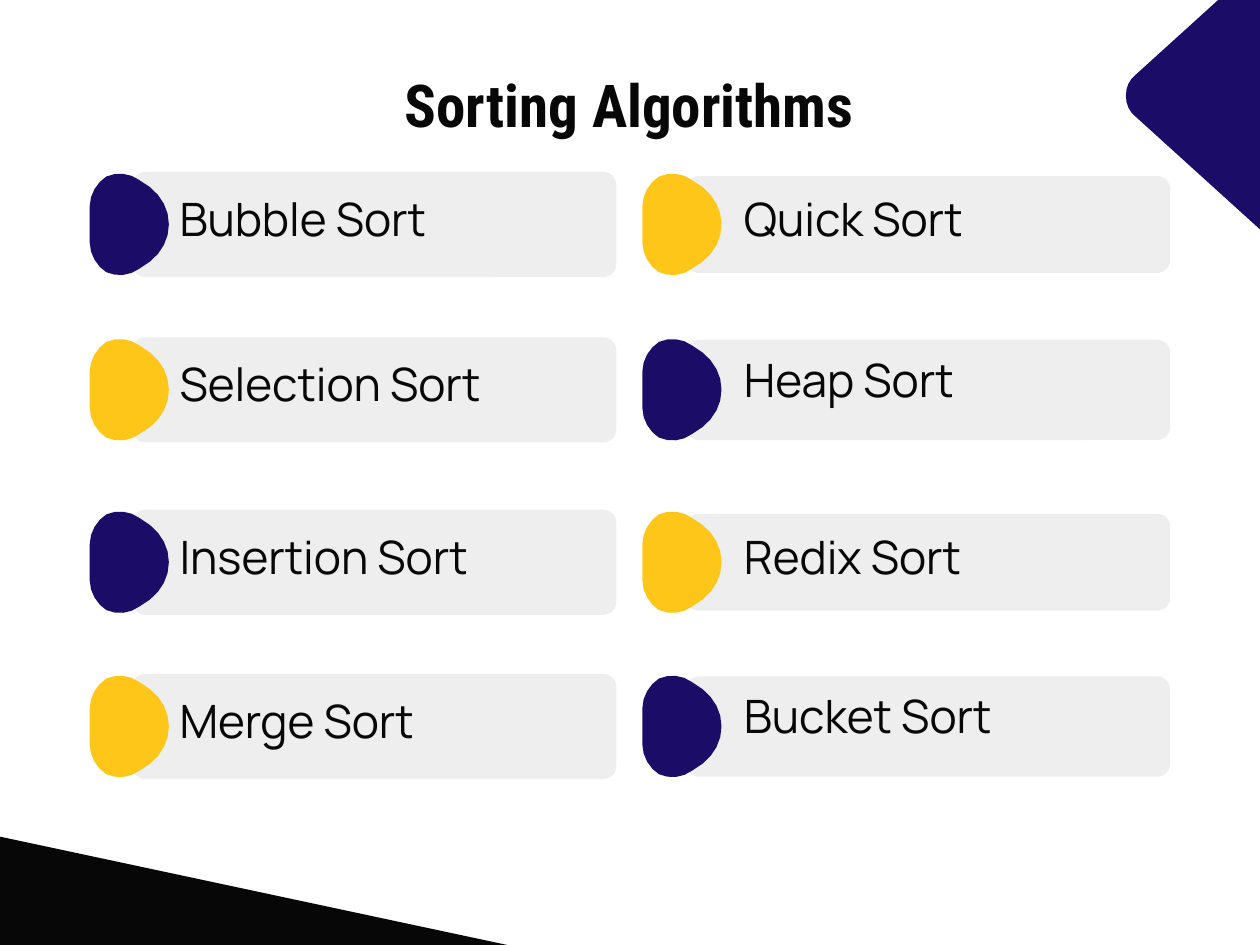
from dataclasses import dataclass

from pptx import Presentation
from pptx import util as u
from pptx.dml.color import RGBColor
from pptx.enum import shapes, text


@dataclass(frozen=True)
class Theme:
    navy: str = "1A0C67"
    yellow: str = "FFC61A"
    black: str = "070707"
    gray: str = "EEEEEE"
    title_font: str = "Roboto Condensed"
    body_font: str = "Manrope"
    title_size: int = 36
    title_spacing: float = 56
    body_size: int = 28
    body_spacing: float = 25.2


THEME = Theme()
CURVE_STEPS = 4
ROW_CENTERS = (1.9, 3.3, 4.76, 6.15)
BAR_WIDTH = 4.1
BAR_RADIUS = 0.11
MARKER_SIZE = (0.89, 0.67)

MARKER_HALF = (
    ((0.57, 0), (0.68, 0.06), (0.76, 0.16)),
    ((0.82, 0.25),),
    ((0.88, 0.33), (0.89, 0.44), (0.85, 0.53)),
    ((0.8, 0.61), (0.7, 0.67), (0.6, 0.67)),
)
DIAMOND_HALF = (
    ((1.25, 0), (1.31, 0.03), (1.35, 0.08)),
    ((2.32, 1.15),),
    ((2.35, 1.19), (2.36, 1.23), (2.34, 1.28)),
    ((2.32, 1.32), (2.28, 1.34), (2.23, 1.34)),
)
WEDGE_HALF = (
    ((1.75, 0), (1.77, 0.02), (1.77, 0.03)),
    ((3.45, 7.9),),
    ((3.46, 7.95), (3.45, 8), (3.42, 8.03)),
    ((3.39, 8.07), (3.35, 8.09), (3.3, 8.09)),
)


@dataclass(frozen=True)
class Column:
    bar_left: float
    text_left: float
    marker_left: float
    labels: tuple
    text_widths: tuple
    bar_heights: tuple
    text_rises: tuple
    colors: tuple


COLUMNS = (
    Column(1.12, 1.52, 0.65,
           ("Bubble Sort", "Selection Sort", "Insertion Sort", "Merge Sort"),
           (3.09, 3.12), (0.89, 0.89), (0.17, 0.17), (THEME.navy, THEME.yellow)),
    Column(5.81, 6.3, 5.33,
           ("Quick Sort", "Heap Sort", "Redix Sort", "Bucket Sort"),
           (2.84, 2.23), (0.82, 0.85), (0.17, 0.21), (THEME.yellow, THEME.navy)),
)


def curve_points(start, first, second, end):
    points = []
    for step in range(1, CURVE_STEPS + 1):
        t = step / CURVE_STEPS
        weights = ((1 - t) ** 3, 3 * t * (1 - t) ** 2, 3 * t * t * (1 - t), t ** 3)
        controls = (start, first, second, end)
        points.append(tuple(sum(weight * control[axis] for weight, control in zip(weights, controls))
                            for axis in (0, 1)))
    return points


def symmetric_outline(width, half):
    points = [(width / 2, 0)]
    for segment in half:
        points += curve_points(points[-1], *segment) if len(segment) == 3 else segment
    return points + [(width - x, y) for x, y in reversed(points[1:])]


def paint(shape, color):
    shape.shadow.inherit = False
    shape.fill.solid()
    shape.fill.fore_color.rgb = RGBColor.from_string(color)
    shape.line.fill.background()


def add_outline(slide, left, top, width, half, color, rotation):
    points = [(u.Inches(left + x), u.Inches(top + y)) for x, y in symmetric_outline(width, half)]
    builder = slide.shapes.build_freeform(*points[0])
    builder.add_line_segments(points[1:])
    shape = builder.convert_to_shape()
    shape.rotation = rotation
    paint(shape, color)


def add_bar(slide, left, center, height):
    box = (left, center - height / 2, BAR_WIDTH, height)
    shape = slide.shapes.add_shape(shapes.MSO_SHAPE.ROUNDED_RECTANGLE, *map(u.Inches, box))
    shape.adjustments[0] = BAR_RADIUS / height
    paint(shape, THEME.gray)


def add_text(slide, content, box, font_name, size, spacing, bold=False, align=text.PP_ALIGN.LEFT):
    text_frame = slide.shapes.add_textbox(*map(u.Inches, box)).text_frame
    text_frame.margin_left = text_frame.margin_right = 0
    text_frame.margin_top = text_frame.margin_bottom = 0
    text_frame.word_wrap = True
    text_frame.auto_size = text.MSO_AUTO_SIZE.SHAPE_TO_FIT_TEXT
    text_frame.text = content
    paragraph = text_frame.paragraphs[0]
    paragraph.alignment = align
    paragraph.line_spacing = u.Pt(spacing)
    font = paragraph.runs[0].font
    font.name = font_name
    font.size = u.Pt(size)
    font.bold = bold
    font.color.rgb = RGBColor.from_string(THEME.black)


def add_column(slide, column):
    for row, (label, center) in enumerate(zip(column.labels, ROW_CENTERS)):
        kind = row % 2
        add_bar(slide, column.bar_left, center, column.bar_heights[kind])
        box = (column.text_left, center - column.text_rises[kind], column.text_widths[kind], 0.37)
        add_text(slide, label, box, THEME.body_font, THEME.body_size, THEME.body_spacing)
        width, height = MARKER_SIZE
        add_outline(slide, column.marker_left, center - height / 2, width,
                    MARKER_HALF, column.colors[kind], 90)


def main():
    presentation = Presentation()
    presentation.slide_width = u.Inches(10.67)
    presentation.slide_height = u.Inches(8)
    slide = presentation.slides.add_slide(presentation.slide_layouts[6])
    add_outline(slide, 9.03, 0.14, 2.35, DIAMOND_HALF, THEME.navy, 270)
    add_outline(slide, 0.12, 4.33, 3.46, WEDGE_HALF, THEME.black, 90)
    add_text(slide, "Sorting Algorithms", (1.16, 0.4, 8.34, 0.71), THEME.title_font,
             THEME.title_size, THEME.title_spacing, True, text.PP_ALIGN.CENTER)
    for column in COLUMNS:
        add_column(slide, column)
    presentation.save("out.pptx")


if __name__ == "__main__":
    main()
